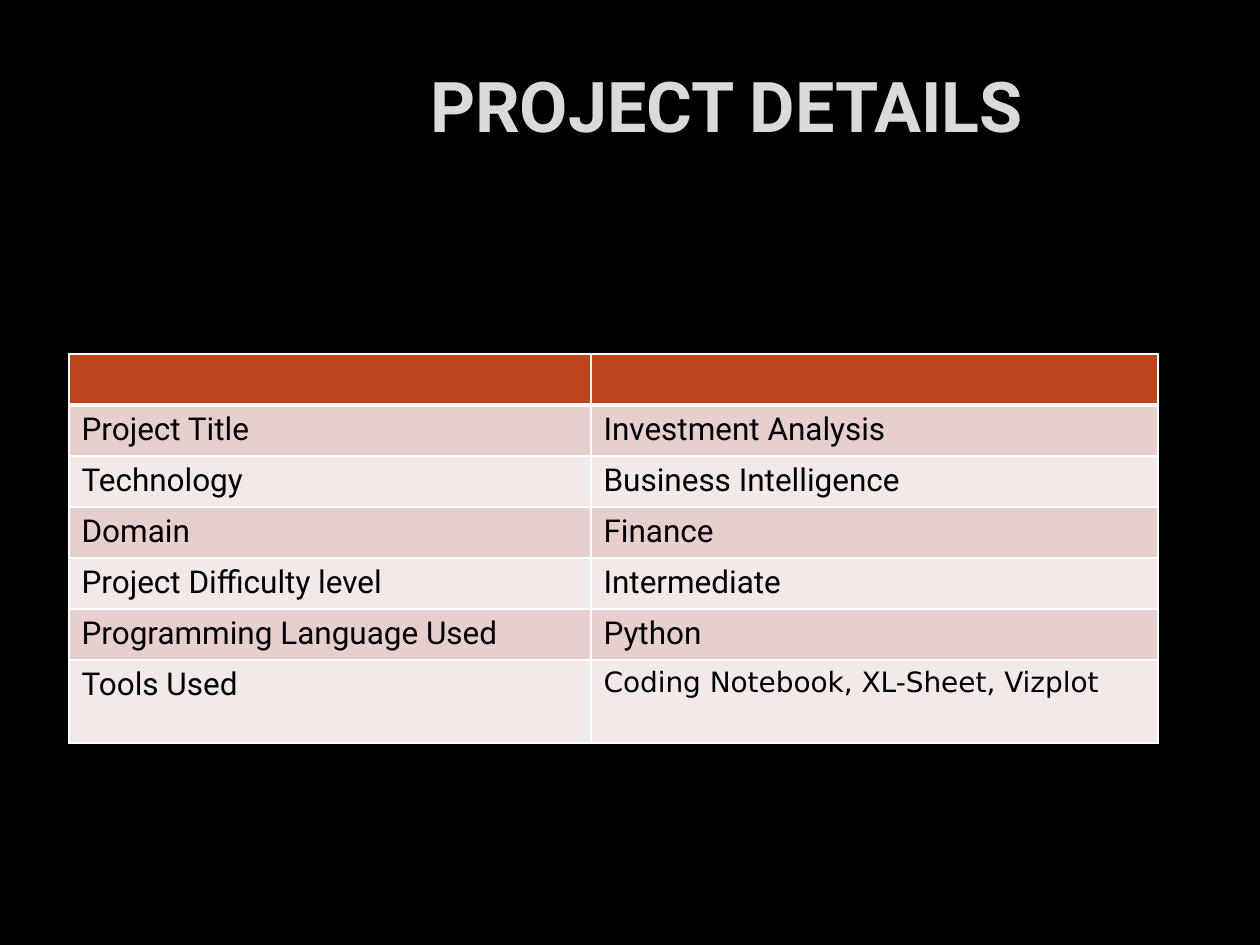
from dataclasses import dataclass

from lxml import etree
from pptx import Presentation
from pptx import util as u
from pptx.dml import color
from pptx.enum import text
from pptx.oxml import ns

PX = 914400 / 126
COLORS = {
    "background": "000000",
    "title": "DADADA",
    "outline": "404040",
    "header": "BC451B",
    "dark band": "E7CFCD",
    "light band": "F3E9E8",
    "border": "FFFFFF",
    "text": "000000",
}
COLUMN_WIDTHS = (522, 567)
ROW_HEIGHT, LAST_ROW_HEIGHT = 51, 83


@dataclass
class Detail:
    label: str
    value: str
    value_font: str = "Roboto"
    value_size: int = 18


DETAILS = [
    Detail("Project Title", "Investment Analysis"),
    Detail("Technology", "Business Intelligence"),
    Detail("Domain", "Finance"),
    Detail("Project Difficulty level", "Intermediate"),
    Detail("Programming Language Used", "Python"),
    Detail("Tools Used", "Coding Notebook, XL-Sheet, Vizplot", "DejaVu Sans", 16),
]


def px(length: int) -> u.Emu:
    return u.Emu(round(length * PX))


def rgb(name: str) -> color.RGBColor:
    return color.RGBColor.from_string(COLORS[name])


def make_line(tag: str, points: float, name: str, opacity: int = 100):
    """Build a solid line element for a cell border or a text outline."""
    line = etree.Element(ns.qn(tag), w=str(u.Pt(points)))
    fill = etree.SubElement(line, ns.qn("a:solidFill"))
    shade = etree.SubElement(fill, ns.qn("a:srgbClr"), val=COLORS[name])
    if opacity < 100:
        etree.SubElement(shade, ns.qn("a:alpha"), val=str(opacity * 1000))
    etree.SubElement(line, ns.qn("a:prstDash"), val="solid")
    return line


def style_span(span, font: str, size: int, name: str, bold: bool = False) -> None:
    span.font.name = font
    span.font.size = u.Pt(size)
    span.font.bold = bold
    span.font.color.rgb = rgb(name)


def add_title(page, wording: str) -> None:
    box = page.shapes.title
    box.left, box.top, box.width, box.height = map(px, (256, 21, 941, 168))
    box.text_frame.text = wording
    box.text_frame.vertical_anchor = text.MSO_ANCHOR.MIDDLE
    para = box.text_frame.paragraphs[0]
    para.alignment = text.PP_ALIGN.CENTER
    span = para.runs[0]
    style_span(span, "Roboto", 40, "title", bold=True)
    span.font._element.insert(0, make_line("a:ln", 0.75, "outline", 10))


def style_cell(cell, row: int, fill: str) -> None:
    properties = cell._tc.get_or_add_tcPr()
    top = 3 if row == 1 else 1
    bottom = 3 if row == 0 else 1
    for side, points in (("L", 1), ("R", 1), ("T", top), ("B", bottom)):
        properties.append(make_line(f"a:ln{side}", points, "border"))
    cell.fill.solid()
    cell.fill.fore_color.rgb = rgb(fill)


def write_cell(cell, wording: str, font: str, size: int) -> None:
    cell.text_frame.text = wording
    style_span(cell.text_frame.paragraphs[0].runs[0], font, size, "text")


def add_details_table(page, details: list[Detail]) -> None:
    height = ROW_HEIGHT * len(details) + LAST_ROW_HEIGHT
    frame = page.shapes.add_table(
        len(details) + 1, len(COLUMN_WIDTHS),
        px(69), px(354), px(sum(COLUMN_WIDTHS)), px(height))
    table = frame.table
    for column, width in zip(table.columns, COLUMN_WIDTHS):
        column.width = px(width)

    # Row heights, bands and borders
    for index, row in enumerate(table.rows):
        row.height = px(LAST_ROW_HEIGHT if index == len(details) else ROW_HEIGHT)
        band = "dark band" if index % 2 else "light band"
        for cell in row.cells:
            style_cell(cell, index, band if index else "header")

    # Wording below the empty header
    for index, detail in enumerate(details, start=1):
        write_cell(table.cell(index, 0), detail.label, "Roboto", 18)
        write_cell(table.cell(index, 1), detail.value,
                   detail.value_font, detail.value_size)


def main() -> None:
    deck = Presentation()
    deck.slide_width, deck.slide_height = px(1260), px(945)
    page = deck.slides.add_slide(deck.slide_layouts.get_by_name("Title Only"))
    page.background.fill.solid()
    page.background.fill.fore_color.rgb = rgb("background")
    add_title(page, "PROJECT DETAILS")
    add_details_table(page, DETAILS)
    deck.save("out.pptx")


if __name__ == "__main__":
    main()
